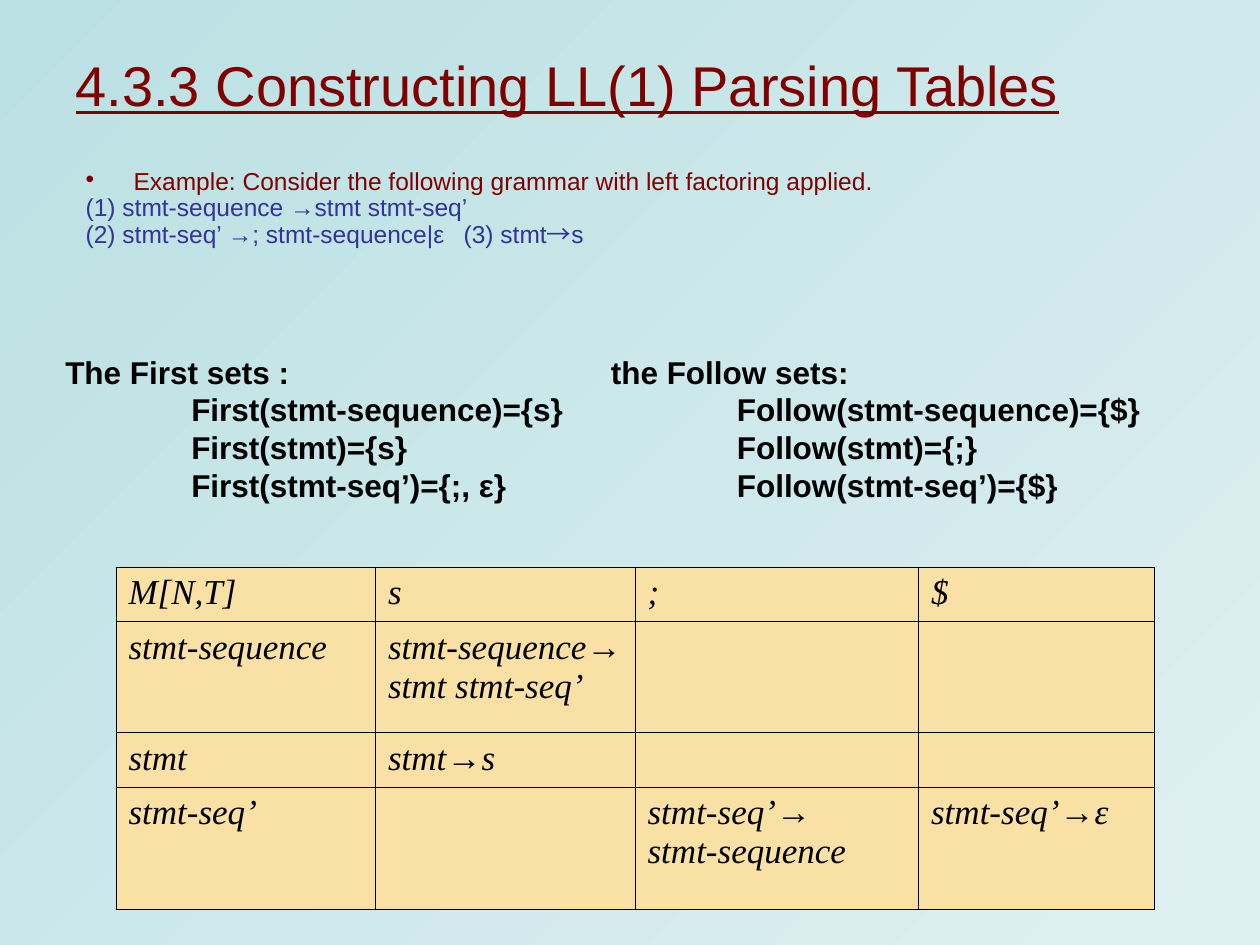
import pptx
import pptx.dml.color
import pptx.enum.text
import pptx.oxml
import pptx.oxml.ns
import pptx.util
from pptx.util import Inches

COLORS = {
    "maroon": "800000",
    "navy": "333399",
    "ink": "000000",
    "cell": "F9E1A5",
    "sky": "BBE0E3",
    "pale": "DFF0F2",
}
SANS, SERIF, CJK = "Arial", "Times New Roman", "Noto Sans CJK SC"
TITLE = {"name": SANS, "size": pptx.util.Pt(32), "underline": True}
BODY = {"name": SANS, "size": pptx.util.Pt(14)}
SETS = {"name": SANS, "size": pptx.util.Pt(18), "bold": True}
CELL = {"name": SERIF, "size": pptx.util.Pt(20), "italic": True}

GRAMMAR = [
    (("Example: Consider the following grammar with left factoring applied.",), "maroon"),
    (("(1) stmt-sequence →stmt stmt-seq’",), "navy"),
    (("(2) stmt-seq’ →; stmt-sequence|ε\t(3) stmt", "→", "s"), "navy"),
]
FIRST = ["The First sets :", "First(stmt-sequence)={s}", "First(stmt)={s}", "First(stmt-seq’)={;, ε}"]
FOLLOW = ["the Follow sets:", "Follow(stmt-sequence)={$}", "Follow(stmt)={;}", "Follow(stmt-seq’)={$}"]
PARSING = [
    [[("M[N,T]",)], [("s",)], [(";",)], [("$",)]],
    [[("stmt-sequence",)], [("stmt-sequence", "→"), ("stmt stmt-seq’",)], [], []],
    [[("stmt",)], [("stmt", "→", "s")], [], []],
    [[("stmt-seq’",)], [], [("stmt-seq’→",), ("stmt-sequence",)], [("stmt-seq’→ε",)]],
]


def color(name):
    return pptx.dml.color.RGBColor.from_string(COLORS[name])


def xml(markup):
    return pptx.oxml.parse_xml(markup.replace(" ", f" {pptx.oxml.ns.nsdecls('a')} ", 1))


def place(shape, box):
    shape.left, shape.top, shape.width, shape.height = [Inches(value) for value in box]


def add_spans(para, pieces, formats, color_name, arrow_font=SANS):
    for index, piece in enumerate(pieces):
        span = para.add_run()
        span.text = piece
        for key, value in formats.items():
            setattr(span.font, key, value)
        if index % 2:
            span.font.name = arrow_font
        span.font.color.rgb = color(color_name)


def paragraphs(frame, items):
    for index, item in enumerate(items):
        yield (frame.add_paragraph() if index else frame.paragraphs[0]), item


def add_background(page):
    fill = page.background.fill
    fill.gradient()
    fill.gradient_angle = 315
    for stop, name, position in zip(fill.gradient_stops, ("sky", "pale"), (0, 1)):
        stop.color.rgb = color(name)
        stop.position = position


def add_title(page, box):
    title = page.shapes.title
    place(title, box)
    frame = title.text_frame
    frame.auto_size = pptx.enum.text.MSO_AUTO_SIZE.NONE
    frame.vertical_anchor = pptx.enum.text.MSO_ANCHOR.MIDDLE
    frame.paragraphs[0].alignment = pptx.enum.text.PP_ALIGN.LEFT
    add_spans(frame.paragraphs[0], ("4.3.3 Constructing LL(1) Parsing Tables",), TITLE, "maroon")


def add_grammar(page, box):
    body = page.placeholders[1]
    place(body, box)
    frame = body.text_frame
    frame.auto_size = pptx.enum.text.MSO_AUTO_SIZE.NONE
    for index, (para, (pieces, name)) in enumerate(paragraphs(frame, GRAMMAR)):
        para.alignment = pptx.enum.text.PP_ALIGN.JUSTIFY
        para.line_spacing = 0.6
        para.space_before = pptx.util.Pt(5 if index else 0)
        props = para._p.get_or_add_pPr()
        indent = 0 if index else Inches(0.38)
        props.set("marL", str(indent))
        props.set("indent", str(-indent))
        if index:
            props.append(xml("<a:buNone />"))
            props.append(xml(f'<a:tabLst ><a:tab pos="{Inches(3.12)}" algn="l"/></a:tabLst>'))
        else:
            props.append(xml(f'<a:buClr ><a:srgbClr val="{COLORS["maroon"]}"/></a:buClr>'))
            props.append(xml('<a:buChar char="•"/>'))
        add_spans(para, pieces, BODY, name, CJK)


def add_sets(page, box, lines):
    frame = page.shapes.add_textbox(*[Inches(value) for value in box]).text_frame
    frame.word_wrap = True
    for index, (para, line) in enumerate(paragraphs(frame, lines)):
        if index:
            para._p.get_or_add_pPr().set("marL", str(Inches(1)))
        add_spans(para, (line,), SETS, "ink")


def add_borders(cell):
    props = cell._tc.get_or_add_tcPr()
    for index, side in enumerate(("lnL", "lnR", "lnT", "lnB")):
        props.insert(index, xml(
            f'<a:{side} w="{pptx.util.Pt(0.45)}"><a:solidFill>'
            f'<a:srgbClr val="{COLORS["ink"]}"/></a:solidFill></a:{side}>'))


def add_parsing_table(page, box, widths, heights):
    table = page.shapes.add_table(
        len(heights), len(widths), *[Inches(value) for value in box]).table
    table.first_row = table.horz_banding = False
    for column, width in zip(table.columns, widths):
        column.width = Inches(width)
    for row, height, contents in zip(table.rows, heights, PARSING):
        row.height = Inches(height)
        for cell, lines in zip(row.cells, contents):
            cell.fill.solid()
            cell.fill.fore_color.rgb = color("cell")
            add_borders(cell)
            for para, pieces in paragraphs(cell.text_frame, lines):
                add_spans(para, pieces, CELL, "ink")


def main():
    deck = pptx.Presentation()
    deck.slide_width, deck.slide_height = Inches(10), Inches(7.5)
    page = deck.slides.add_slide(deck.slide_layouts[1])
    add_background(page)
    add_title(page, (0.5, 0.17, 9.33, 1))
    add_grammar(page, (0.58, 1.35, 8.08, 0.67))
    add_sets(page, (0.42, 2.75, 4.5, 1.3), FIRST)
    add_sets(page, (4.75, 2.75, 5, 1.3), FOLLOW)
    add_parsing_table(page, (0.92, 4.5, 8.25, 2.72),
                      (2.06, 2.06, 2.25, 1.87), (0.43, 0.88, 0.43, 0.97))
    deck.save("out.pptx")


if __name__ == "__main__":
    main()
